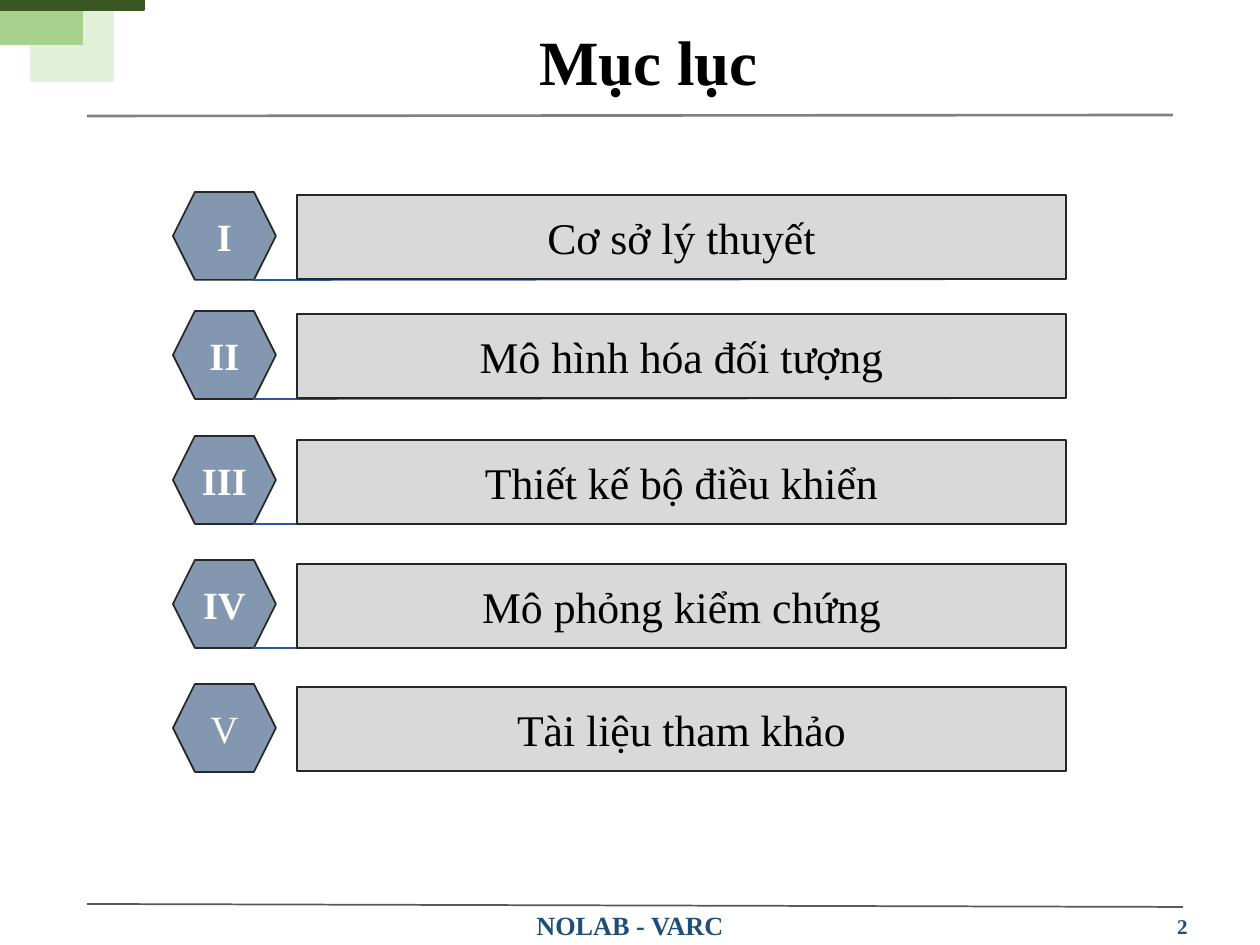
import lxml.etree
import pptx
import pptx.dml.color
import pptx.enum.shapes
import pptx.enum.text
import pptx.oxml.ns
import pptx.util

PX_PER_INCH = 126
FONT = "Times New Roman"
COLORS = {
    "pale green": "E2F0D9", "green": "A9D18E", "dark green": "385723",
    "navy": "1F4E79", "blue": "2F5597", "slate": "8497B0",
    "light gray": "D9D9D9", "gray": "808080", "dark gray": "595959",
    "outline": "262626", "black": "000000", "white": "FFFFFF",
}
SHAPES = pptx.enum.shapes.MSO_SHAPE
ANCHOR = pptx.enum.text.MSO_ANCHOR


def emu(px):
    return pptx.util.Emu(round(px * 914400 / PX_PER_INCH))


def rgb(color):
    return pptx.dml.color.RGBColor.from_string(COLORS[color])


class SlideBuilder:
    def __init__(self, slide, font_name):
        self.slide = slide
        self.font_name = font_name

    def set_text(self, shape, text, size, color, bold=False, anchor=ANCHOR.MIDDLE, wrap=True):
        """Put one centred line of styled text into a shape."""
        frame = shape.text_frame
        frame.text = text
        frame.word_wrap = wrap
        frame.auto_size = pptx.enum.text.MSO_AUTO_SIZE.NONE
        frame.vertical_anchor = anchor
        paragraph = frame.paragraphs[0]
        paragraph.alignment = pptx.enum.text.PP_ALIGN.CENTER
        font = paragraph.runs[0].font
        font.name = self.font_name
        font.size = pptx.util.Pt(size)
        font.bold = bold
        font.color.rgb = rgb(color)

    def title(self, box, text, size):
        title = self.slide.shapes.title
        title.left, title.top, title.width, title.height = map(emu, box)
        self.set_text(title, text, size, "black", bold=True, anchor=ANCHOR.TOP)

    def label(self, box, text, size, **style):
        label = self.slide.shapes.add_textbox(*map(emu, box))
        self.set_text(label, text, size, "navy", bold=True, **style)

    def block(self, box, fill, outline, kind=SHAPES.RECTANGLE):
        block = self.slide.shapes.add_shape(kind, *map(emu, box))
        block.shadow.inherit = False
        block.fill.solid()
        block.fill.fore_color.rgb = rgb(fill)
        block.line.color.rgb = rgb(outline)
        block.line.width = pptx.util.Pt(1)
        return block

    def line(self, ends, color, width=1):
        line = self.slide.shapes.add_connector(
            pptx.enum.shapes.MSO_CONNECTOR.STRAIGHT, *map(emu, ends))
        line.line.color.rgb = rgb(color)
        line.line.width = pptx.util.Pt(width)
        lxml.etree.SubElement(line._element.spPr, pptx.oxml.ns.qn("a:effectLst"))

    def chapter(self, numeral, name, hexagon_top, bar_top, bold, underline):
        """Draw one contents row; underline is the start and end height of its line."""
        hexagon = self.block((173, hexagon_top, 103, 88), "slate", "outline", SHAPES.HEXAGON)
        self.set_text(hexagon, numeral, 22, "white", bold=bold)
        if underline:
            start, end = underline
            self.line((253, start, 1066, end), "blue")
        bar = self.block((297, bar_top, 769, 84), "light gray", "outline")
        self.set_text(bar, name, 25, "black")


CORNER_BLOCKS = [
    ((31, 0, 82, 81), "pale green"),
    ((0, 5, 82, 39), "green"),
    ((0, 0, 144, 10), "dark green"),
]
CHAPTERS = [
    ("I", "Cơ sở lý thuyết", 192, 195, True, (280, 279)),
    ("II", "Mô hình hóa đối tượng", 311, 314, True, (399, 398)),
    ("III", "Thiết kế bộ điều khiển", 436, 440, True, (524, 524)),
    ("IV", "Mô phỏng kiểm chứng", 560, 564, True, (648, 648)),
    ("V", "Tài liệu tham khảo", 684, 687, False, None),
]


def main():
    deck = pptx.Presentation()
    deck.slide_width, deck.slide_height = emu(1260), emu(945)
    title_only = deck.slide_layouts.get_by_name("Title Only")
    builder = SlideBuilder(deck.slides.add_slide(title_only), FONT)

    for box, color in CORNER_BLOCKS:
        builder.block(box, color, color)
    builder.label((526, 903, 208, 44), "NOLAB - VARC", 15, anchor=ANCHOR.TOP, wrap=False)
    builder.line((87, 904, 1183, 907), "dark gray")
    builder.line((87, 116, 1173, 115), "gray", 1.5)
    builder.label((1150, 907, 65, 38), "2", 12)
    builder.title((159, 16, 979, 90), "Mục lục", 36)
    for chapter in CHAPTERS:
        builder.chapter(*chapter)

    deck.save("out.pptx")


if __name__ == "__main__":
    main()
